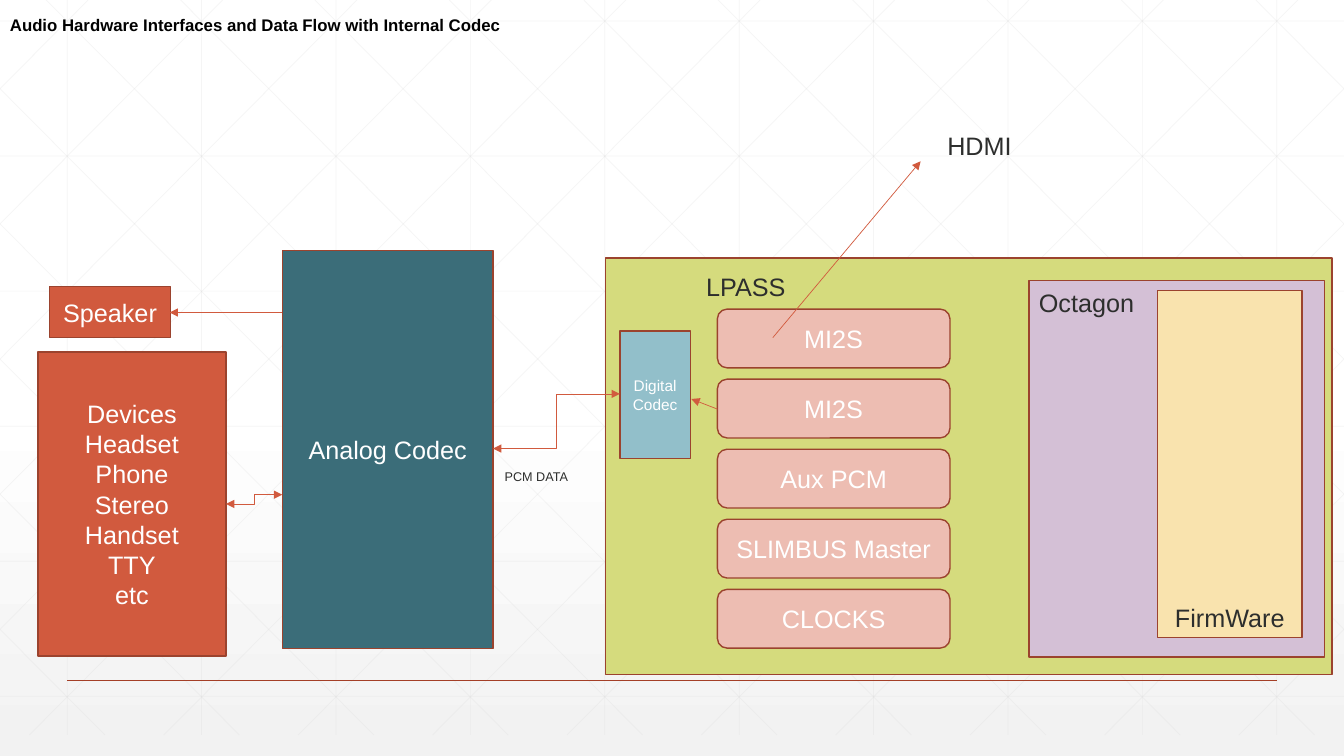
"""Builds the slide on audio hardware interfaces and data flow with an internal codec."""
from lxml import etree
from pptx import Presentation
from pptx.dml.color import RGBColor
from pptx.enum.shapes import MSO_CONNECTOR, MSO_SHAPE
from pptx.enum.text import MSO_ANCHOR, PP_ALIGN
from pptx.oxml.ns import qn
from pptx.util import Inches, Pt

STRAIGHT, ELBOW = MSO_CONNECTOR.STRAIGHT, MSO_CONNECTOR.ELBOW
RECTANGLE, ROUNDED = MSO_SHAPE.RECTANGLE, MSO_SHAPE.ROUNDED_RECTANGLE
MIDDLE, BOTTOM, TOP = MSO_ANCHOR.MIDDLE, MSO_ANCHOR.BOTTOM, MSO_ANCHOR.TOP
CENTER, LEFT = PP_ALIGN.CENTER, PP_ALIGN.LEFT

WHITE = RGBColor(0xFF, 0xFF, 0xFF)
BLACK = RGBColor(0x00, 0x00, 0x00)
PALE_GRAY = RGBColor(0xF2, 0xF2, 0xF2)
MESH_GRAY = RGBColor(0xD9, 0xD9, 0xD9)
INK = RGBColor(0x2D, 0x2E, 0x2D)
BORDER = RGBColor(0x9B, 0x43, 0x2E)
RULE = RGBColor(0xA4, 0x3F, 0x27)
ORANGE = RGBColor(0xD1, 0x5A, 0x3E)
TEAL = RGBColor(0x3B, 0x6D, 0x79)
SKY = RGBColor(0x92, 0xBF, 0xCA)
LIME = RGBColor(0xD5, 0xDB, 0x7D)
LILAC = RGBColor(0xD4, 0xC0, 0xD6)
SAND = RGBColor(0xF9, 0xE3, 0xAE)
ROSE = RGBColor(0xED, 0xBD, 0xB2)

COLUMNS, ROWS = 160, 90
CELL = Inches(7.5) / ROWS
MESH_STEP, MESH_BOTTOM = 16, 87.5
DIAGONAL_WIDTH = 87

presentation = Presentation()
presentation.slide_width = int(COLUMNS * CELL)
presentation.slide_height = int(ROWS * CELL)
slide = presentation.slides.add_slide(presentation.slide_layouts[6])

background = slide.background.fill
background.gradient()
background.gradient_angle = 270
for stop, position, color in zip(background.gradient_stops, (0.53, 1), (WHITE, PALE_GRAY)):
    stop.position = position
    stop.color.rgb = color


def add_line(ends, color, weight, kind=STRAIGHT, arrows=(), alpha=None):
    """Draw a connector between two grid points."""
    connector = slide.shapes.add_connector(kind, *(int(value * CELL) for value in ends))
    connector.line.color.rgb = color
    connector.line.width = Pt(weight)
    properties = connector.line._get_or_add_ln()
    if alpha:
        tint = properties.find(".//" + qn("a:srgbClr"))
        etree.SubElement(tint, qn("a:alpha")).set("val", str(alpha * 1000))
    for arrow in arrows:
        etree.SubElement(properties, qn(arrow)).set("type", "triangle")
    etree.SubElement(connector._element.spPr, qn("a:effectLst"))


def add_box(area, text, size=18, color=WHITE, fill=None, kind=RECTANGLE, anchor=MIDDLE, bold=False):
    """Place a filled box, or a plain label when there is no fill."""
    place = [int(value * CELL) for value in area]
    if fill is None:
        shape = slide.shapes.add_textbox(*place)
    else:
        shape = slide.shapes.add_shape(kind, *place)
        shape.shadow.inherit = False
        shape.fill.solid()
        shape.fill.fore_color.rgb = fill
        shape.line.color.rgb = BORDER
        shape.line.width = Pt(1)
    frame = shape.text_frame
    frame.text = text
    frame.word_wrap = True
    frame.vertical_anchor = anchor if fill else TOP
    for paragraph in frame.paragraphs:
        paragraph.alignment = CENTER if fill else LEFT
        for run in paragraph.runs:
            run.font.name = "Arial"
            run.font.size = Pt(size)
            run.font.bold = bold
            run.font.color.rgb = color


mesh = [(8 + MESH_STEP * i, 0, 8 + MESH_STEP * i, MESH_BOTTOM) for i in range(10)]
mesh += [(0, 2.5 + 16.08 * i, COLUMNS, 2.5 + 16.08 * i) for i in range(6)]
for i in range(-5, 10):
    start = 5.5 + MESH_STEP * i
    left, right = max(start, 0), min(start + DIAGONAL_WIDTH, COLUMNS)
    top, bottom = ((x - start) * MESH_BOTTOM / DIAGONAL_WIDTH for x in (left, right))
    mesh += [(left, top, right, bottom), (COLUMNS - left, top, COLUMNS - right, bottom)]
for ends in mesh:
    add_line(ends, MESH_GRAY, 0.5, alpha=25)
add_line((8, 81, 152, 81), RULE, 1)

add_box((72.1, 30.7, 86.5, 49.6), "", fill=LIME)
add_box((122.5, 33.4, 35.2, 44.8), "", fill=LILAC)
add_box((137.8, 34.6, 17.2, 41.3), "FirmWare", color=INK, fill=SAND, anchor=BOTTOM)
for row, interface in enumerate(("MI2S", "MI2S", "Aux PCM", "SLIMBUS Master", "CLOCKS")):
    add_box((85.4, 36.8 + 8.34 * row, 27.7, 7), interface, fill=ROSE, kind=ROUNDED)

for area, text, size in (
    ((122.5, 33.6, 24.5, 4.8), "Octagon", 18),
    ((82.9, 31.7, 24.5, 4.8), "LPASS", 18),
    ((111.6, 14.9, 12, 4.8), "HDMI", 18),
    ((58.9, 55.2, 11.2, 3), "PCM DATA", 9),
):
    add_box(area, text, size, INK)
add_box((0, 1.2, 80, 3.6), "Audio Hardware Interfaces and Data Flow with Internal Codec", 12, BLACK, bold=True)

devices = ("Devices", "Headset", "Phone", "Stereo", "Handset", "TTY", "etc")
add_box((73.8, 39.4, 8.4, 15.2), "Digital Codec", 11, fill=SKY)
add_box((33.6, 29.8, 25.1, 47.4), "Analog Codec", fill=TEAL)
add_box((5.9, 34.1, 14.4, 6.1), "Speaker", fill=ORANGE)
add_box((4.5, 41.9, 22.4, 36.2), "\n".join(devices), fill=ORANGE)

for ends in ((92, 40.2, 109.6, 19.2), (33.6, 37.2, 20.2, 37.2), (85.4, 48.7, 82.3, 47.5)):
    add_line(ends, ORANGE, 0.5, arrows=("a:tailEnd",))
for ends in ((73.8, 46.9, 58.7, 53.4), (26.9, 60, 33.6, 58.9)):
    add_line(ends, ORANGE, 0.5, ELBOW, ("a:headEnd", "a:tailEnd"))

presentation.save("out.pptx")
